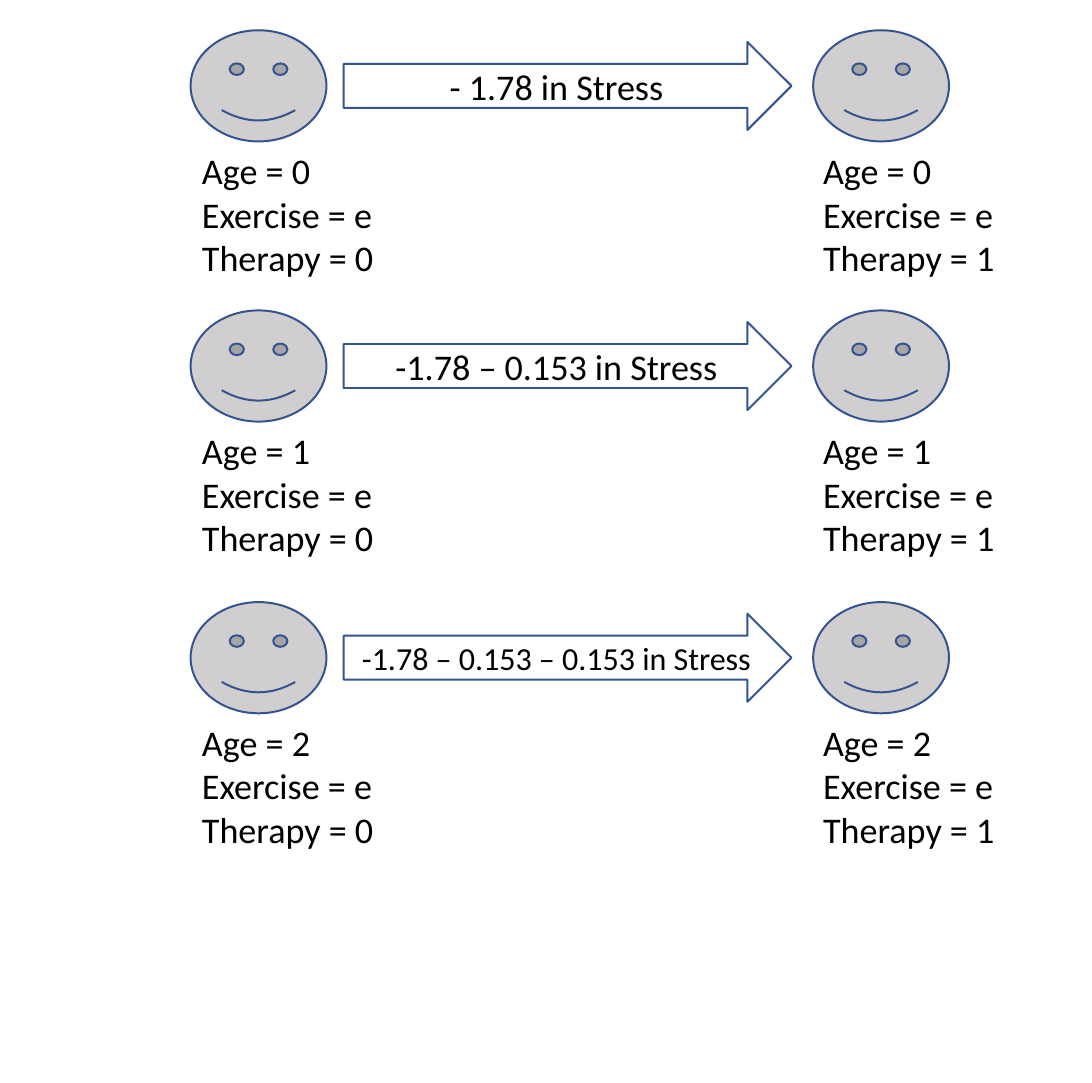
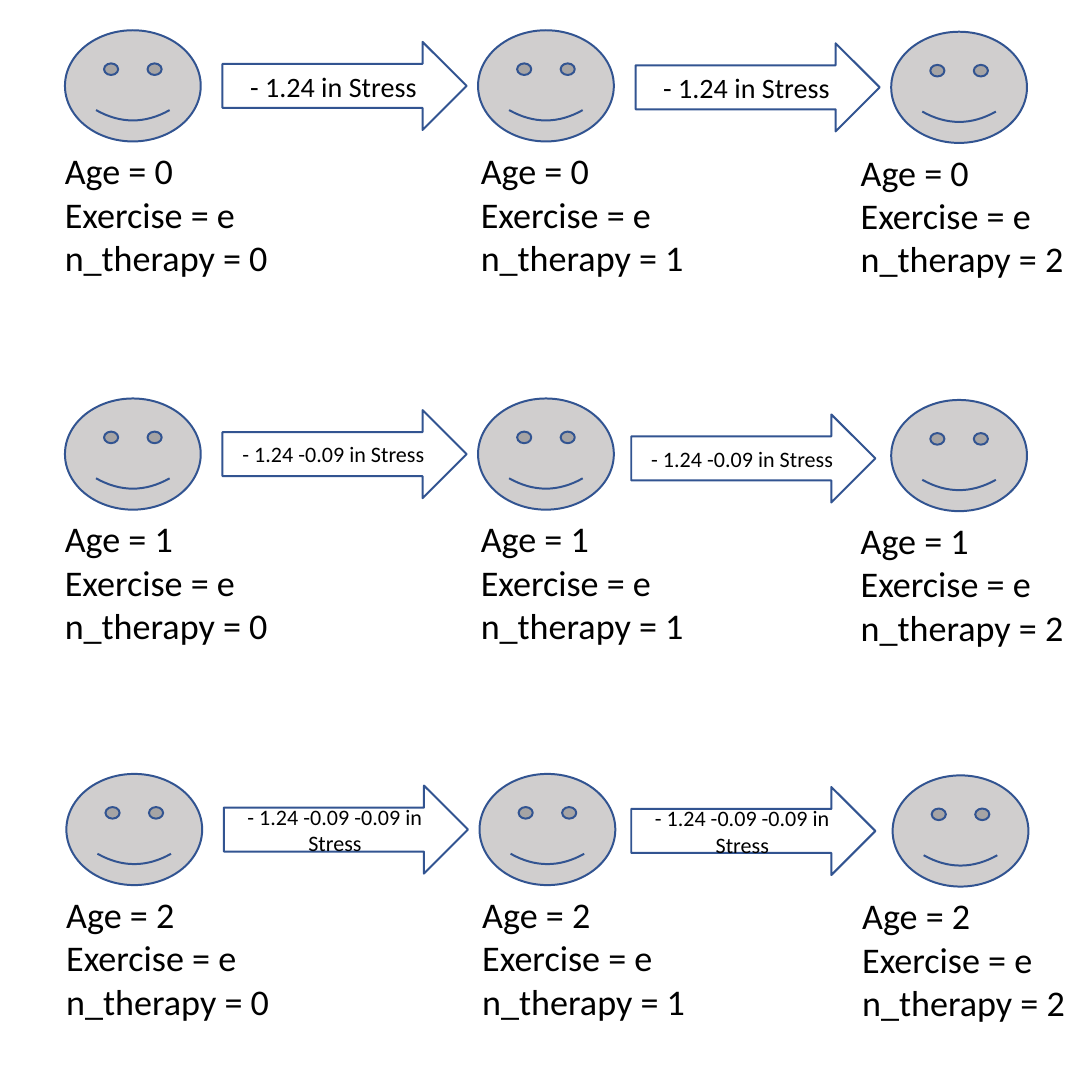
"""Build two slides showing how therapy changes stress at different ages."""
from pptx import Presentation
from pptx import util as u
from pptx.dml.color import RGBColor
from pptx.enum import shapes, text


class Deck:
    """Hold the shared style and the current slide."""

    COLORS = {"face": "D0CECE", "outline": "325491", "text": "000000"}
    FONT = "Calibri"
    FACE_SIZE = (0.94, 0.77)
    ARROW_HEIGHT = 0.61
    LABEL_HEIGHT = 1.01

    def __init__(self, width, height):
        """Start an empty presentation of the given size."""
        self.prs = Presentation()
        self.prs.slide_width = u.Inches(width)
        self.prs.slide_height = u.Inches(height)
        self.s = None

    def color(self, name):
        """Return a named colour."""
        return RGBColor.from_string(self.COLORS[name])

    def new_slide(self):
        """Add a blank slide and make it current."""
        self.s = self.prs.slides.add_slide(self.prs.slide_layouts[6])

    def shape(self, kind, left, top, width, height):
        """Add an outlined preset shape."""
        sp = self.s.shapes.add_shape(kind, *map(u.Inches, (left, top, width, height)))
        sp.shadow.inherit = False
        sp.line.color.rgb = self.color("outline")
        sp.line.width = u.Pt(1)
        return sp

    def set_text(self, tf, content, size, align):
        """Fill a text frame and format its runs."""
        tf.text = content
        for p in tf.paragraphs:
            p.alignment = align
            for r in p.runs:
                r.font.name = self.FONT
                r.font.size = u.Pt(size)
                r.font.color.rgb = self.color("text")

    def face(self, left, top):
        """Add a smiling face."""
        sp = self.shape(shapes.MSO_SHAPE.SMILEY_FACE, left, top, *self.FACE_SIZE)
        sp.fill.solid()
        sp.fill.fore_color.rgb = self.color("face")

    def arrow(self, left, top, width, content, size):
        """Add a hollow arrow that states the change in stress."""
        sp = self.shape(shapes.MSO_SHAPE.RIGHT_ARROW, left, top, width, self.ARROW_HEIGHT)
        sp.fill.background()
        sp.text_frame.vertical_anchor = text.MSO_ANCHOR.MIDDLE
        self.set_text(sp.text_frame, content, size, text.PP_ALIGN.CENTER)

    def label(self, left, top, width, lines, wrap):
        """Add the values that describe a person."""
        box = (left, top, width, self.LABEL_HEIGHT)
        tf = self.s.shapes.add_textbox(*map(u.Inches, box)).text_frame
        self.set_text(tf, "\n".join(lines), 18, text.PP_ALIGN.LEFT)
        tf.word_wrap = wrap
        tf.auto_size = text.MSO_AUTO_SIZE.SHAPE_TO_FIT_TEXT

    def person(self, left, top, label_left, label_width, age, therapy, wrap):
        """Add a face with its label directly below."""
        self.face(left, top)
        lines = [f"Age = {age}", "Exercise = e", therapy]
        self.label(label_left, top + self.FACE_SIZE[1], label_width, lines, wrap)


def therapy_slide(deck):
    """Compare people without and with therapy."""
    deck.new_slide()
    rows = [
        (0.21, "- 1.78 in Stress", 18),
        (2.15, "-1.78 – 0.153 in Stress", 18),
        (4.17, "-1.78 – 0.153 – 0.153 in Stress", 16),
    ]
    for age, (top, change, size) in enumerate(rows):
        for therapy, left in enumerate((1.32, 5.63)):
            deck.person(left, top, left - 0.02 - 0.01 * therapy, 1.4, age,
                        f"Therapy = {therapy}", False)
        deck.arrow(2.38, top + 0.08, 3.1, change, size)


def session_slide(deck):
    """Compare people by their number of therapies."""
    deck.new_slide()
    columns = [(0.45, 0.35, 1.88, 0), (3.31, 3.23, 1.81, 0), (6.17, 5.86, 1.69, 0.01)]
    rows = [
        (0.21, 0, "- 1.24 in Stress", 14, (4.4, 0.3)),
        (2.76, 0, "- 1.24 -0.09 in Stress", 11, (4.37, 2.87)),
        (5.36, 0.01, "- 1.24 -0.09 -0.09 in Stress", 11, (4.37, 5.45)),
    ]
    for age, (top, shift, change, size, second) in enumerate(rows):
        for count, (left, label_left, width, drop) in enumerate(columns):
            deck.person(left + shift, top + drop, label_left + shift, width, age,
                        f"n_therapy = {count}", True)
        for left, arrow_top in ((1.54 + shift, top + 0.08), second):
            deck.arrow(left, arrow_top, 1.69, change, size)


def main():
    """Build and save the presentation."""
    deck = Deck(7.56, 7.5)
    therapy_slide(deck)
    session_slide(deck)
    deck.prs.save("out.pptx")


if __name__ == "__main__":
    main()
